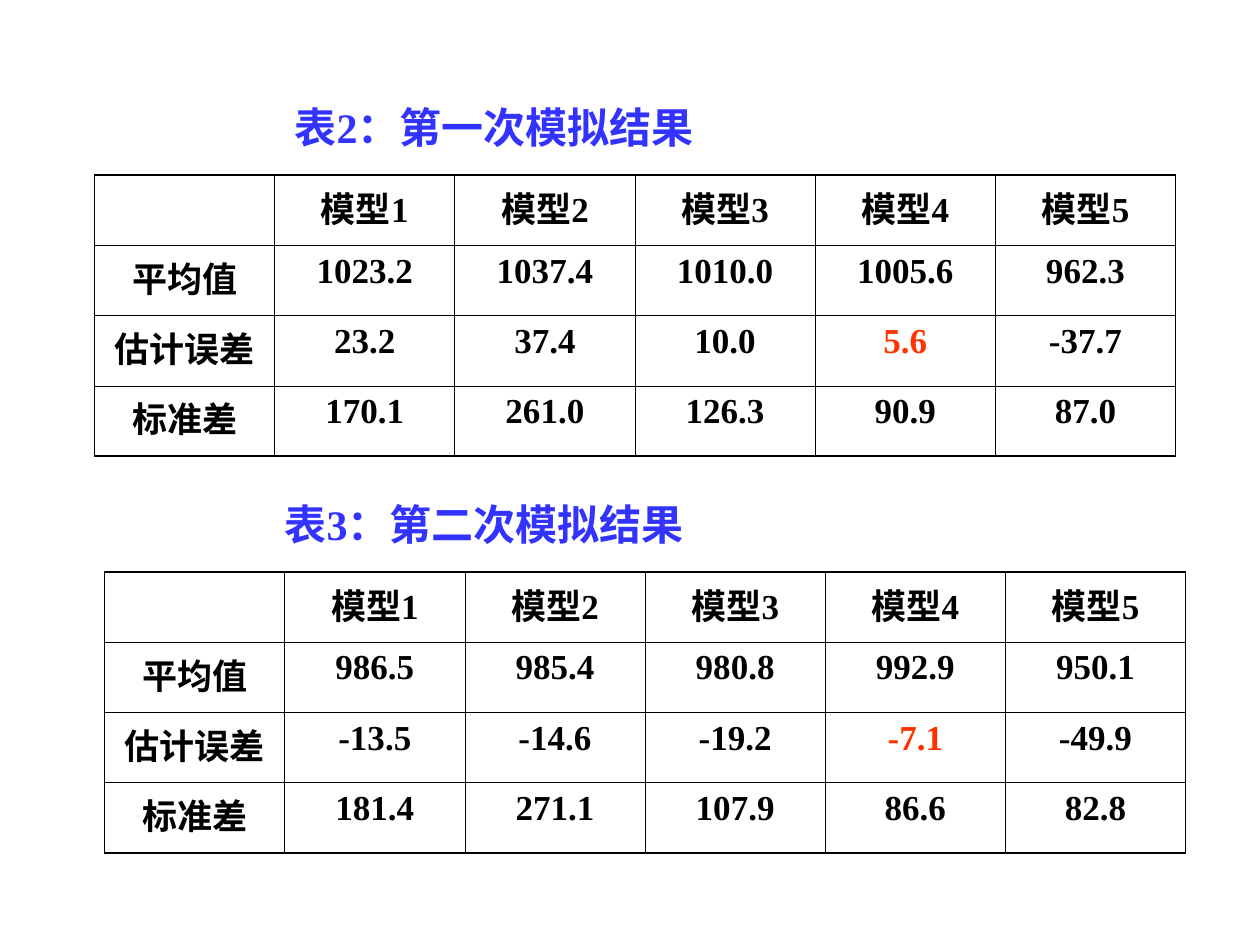
from dataclasses import dataclass

from lxml.etree import SubElement
from pptx import Presentation
from pptx.dml.color import RGBColor
from pptx.enum.text import MSO_AUTO_SIZE, PP_ALIGN
from pptx.oxml.ns import qn
from pptx.util import Inches, Pt


@dataclass(frozen=True)
class Theme:
    font: str = "Times New Roman"
    caption: str = "3333FF"
    ink: str = "000000"
    accent: str = "FF3300"
    caption_size: int = 24
    cell_size: int = 20
    inner_line: float = 0.45
    outer_line: float = 1.08


theme = Theme()


def add_text(p, text, size, color, before):
    p.space_before = Pt(before)
    r = p.add_run()
    r.text = text
    r.font.name = theme.font
    r.font.size = Pt(size)
    r.font.bold = True
    r.font.color.rgb = RGBColor.from_string(color)


def add_border(cell, side, width):
    ln = SubElement(cell._tc.get_or_add_tcPr(), qn(f"a:ln{side}"), w=str(Pt(width)))
    fill = SubElement(ln, qn("a:solidFill"))
    SubElement(fill, qn("a:srgbClr"), val=theme.ink)


header = ["", "模型1", "模型2", "模型3", "模型4", "模型5"]
blocks = [
    ("表2：第一次模拟结果", (2.24, 0.76), (0.75, 1.39), [
        header,
        ["平均值", "1023.2", "1037.4", "1010.0", "1005.6", "962.3"],
        ["估计误差", "23.2", "37.4", "10.0", "5.6", "-37.7"],
        ["标准差", "170.1", "261.0", "126.3", "90.9", "87.0"],
    ]),
    ("表3：第二次模拟结果", (2.16, 3.91), (0.83, 4.54), [
        header,
        ["平均值", "986.5", "985.4", "980.8", "992.9", "950.1"],
        ["估计误差", "-13.5", "-14.6", "-19.2", "-7.1", "-49.9"],
        ["标准差", "181.4", "271.1", "107.9", "86.6", "82.8"],
    ]),
]
highlight = (2, 4)

prs = Presentation()
prs.slide_width = Inches(10)
prs.slide_height = Inches(7.5)
s = prs.slides.add_slide(prs.slide_layouts[6])

for caption, (cx, cy), (tx, ty), rows in blocks:
    sp = s.shapes.add_textbox(Inches(cx), Inches(cy), Inches(5.35), Inches(0.5))
    tf = sp.text_frame
    tf.word_wrap = True
    tf.auto_size = MSO_AUTO_SIZE.SHAPE_TO_FIT_TEXT
    add_text(tf.paragraphs[0], caption, theme.caption_size, theme.caption, 15)

    last_row, last_col = len(rows) - 1, len(header) - 1
    table = s.shapes.add_table(len(rows), len(header), Inches(tx), Inches(ty),
                               Inches(8.58), Inches(2.23)).table
    table.first_row = False
    table.horz_banding = False

    for i, row in enumerate(rows):
        for j, text in enumerate(row):
            cell = table.cell(i, j)
            edges = {"L": j == 0, "R": j == last_col, "T": i == 0, "B": i == last_row}
            for side, outer in edges.items():
                add_border(cell, side, theme.outer_line if outer else theme.inner_line)
            cell.fill.background()
            if text:
                p = cell.text_frame.paragraphs[0]
                p.alignment = PP_ALIGN.CENTER
                color = theme.accent if (i, j) == highlight else theme.ink
                add_text(p, text, theme.cell_size, color, 5)

prs.save("out.pptx")
